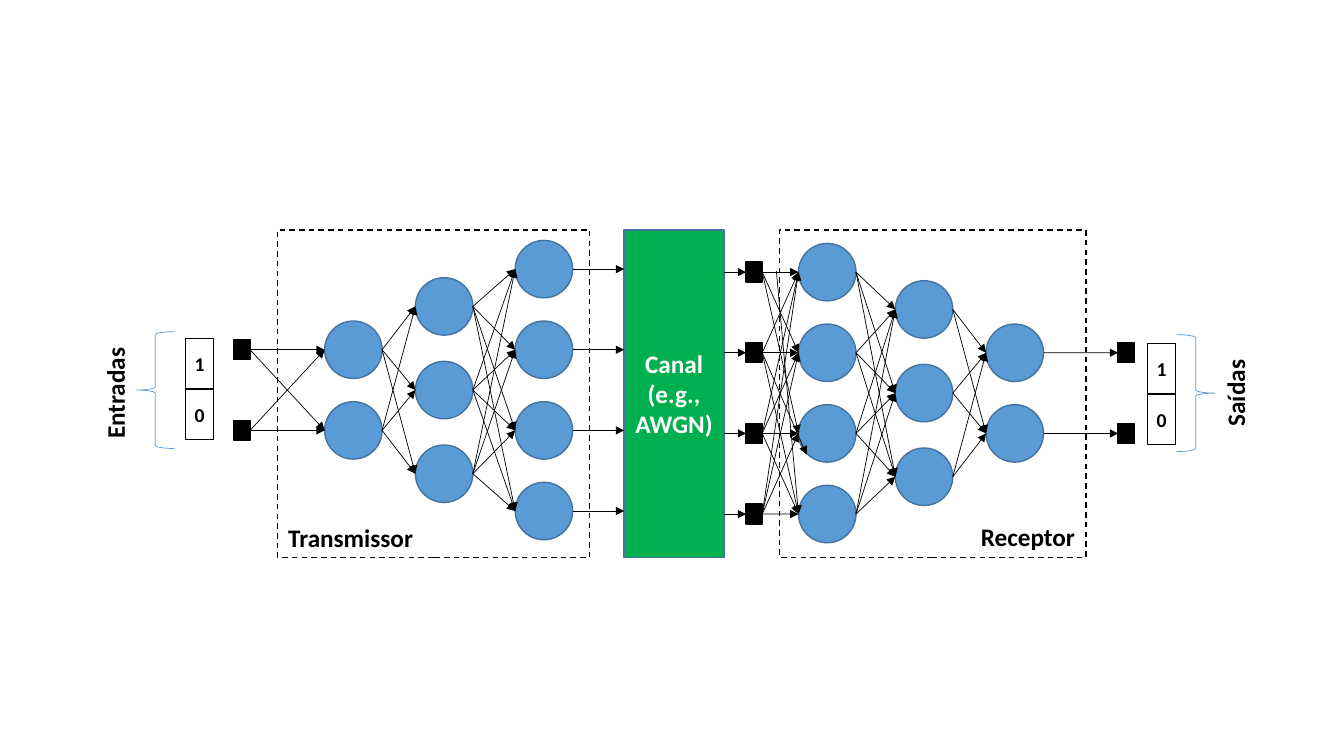
from lxml.etree import SubElement
from pptx import Presentation
from pptx.dml.color import RGBColor
from pptx.enum.dml import MSO_LINE
from pptx.enum.shapes import MSO_CONNECTOR, MSO_SHAPE as Preset
from pptx.enum.text import MSO_ANCHOR, PP_ALIGN as Align
from pptx.oxml.ns import qn
from pptx.util import Inches, Pt

COLOURS = {
    "black": "000000",
    "white": "FFFFFF",
    "neuron": "5B9BD5",
    "edge": "43739E",
    "channel": "00B050",
}
NEURON = (0.57, 0.57)
PORT = (0.16, 0.2)
TX_MIDDLE, RX_MIDDLE = 3.87, 3.9
CHANNEL_LEFT, CHANNEL_RIGHT = 6.19, 7.18
FRAME_TOP, FRAME_HEIGHT = 2.28, 3.25


def colour(name):
    return RGBColor.from_string(COLOURS[name])


def add_preset(page, preset, left, top, width, height, fill=None, line="black", weight=1):
    shape = page.shapes.add_shape(
        preset, Inches(left), Inches(top), Inches(width), Inches(height))
    shape.shadow.inherit = False
    if fill:
        shape.fill.solid()
        shape.fill.fore_color.rgb = colour(fill)
    else:
        shape.fill.background()
    shape.line.color.rgb = colour(line)
    shape.line.width = Pt(weight)
    return shape


def write(shape, text, size=18, ink="black", align=Align.CENTER):
    shape.text_frame.text = text
    for para in shape.text_frame.paragraphs:
        para.alignment = align
        for span in para.runs:
            span.font.name = "Calibri"
            span.font.size = Pt(size)
            span.font.bold = True
            span.font.color.rgb = colour(ink)


def add_label(page, text, left, top, width, align=Align.LEFT, rotation=0):
    box = page.shapes.add_textbox(Inches(left), Inches(top), Inches(width), Inches(0.4))
    box.rotation = rotation
    box.text_frame.word_wrap = rotation != 0
    write(box, text, align=align)


def add_column(page, left, middle, count, pitch=0.8, port=False):
    """Stack neurons or square ports, centred on the given height."""
    width, height = PORT if port else NEURON
    preset = Preset.RECTANGLE if port else Preset.OVAL
    fill, line = ("black", "black") if port else ("neuron", "edge")
    first = middle - (count - 1) * pitch / 2 - height / 2
    return [add_preset(page, preset, left, first + row * pitch, width, height, fill, line)
            for row in range(count)]


def add_bits(page, left, top):
    for row, bit in enumerate("10"):
        cell = add_preset(page, Preset.RECTANGLE, left, top + row * 0.5, 0.28, 0.5)
        frame = cell.text_frame
        frame.margin_left = frame.margin_right = 0
        frame.vertical_anchor = MSO_ANCHOR.MIDDLE
        write(cell, bit, size=14)


def add_frame(page, left, width):
    frame = add_preset(page, Preset.RECTANGLE, left, FRAME_TOP, width, FRAME_HEIGHT)
    frame.line.dash_style = MSO_LINE.DASH


def add_arrow(page, start, end):
    arrow = page.shapes.add_connector(MSO_CONNECTOR.STRAIGHT, *start, *end)
    arrow.line.color.rgb = colour("black")
    arrow.line.width = Pt(0.5)
    SubElement(arrow.line._get_or_add_ln(), qn("a:tailEnd"), type="triangle")
    SubElement(arrow._element.spPr, qn("a:effectLst"))
    return arrow


def centre_y(shape):
    return shape.top + shape.height // 2


def right_of(shape):
    return shape.left + shape.width, centre_y(shape)


def left_of(shape):
    return shape.left, centre_y(shape)


def is_port(shape):
    return shape.auto_shape_type == Preset.RECTANGLE


def link(page, source, target, start=None, end=None):
    arrow = add_arrow(page, start or right_of(source), end or left_of(target))
    if is_port(source) and not start:
        arrow.begin_connect(source, 3)
    if is_port(target) and not end:
        arrow.end_connect(target, 1)


def link_all(page, sources, targets, starts=None, ends=None):
    """Join every source to every target; starts and ends hold special points."""
    for i, source in enumerate(sources):
        for j, target in enumerate(targets):
            link(page, source, target, (starts or {}).get((i, j)), (ends or {}).get((i, j)))


def main():
    deck = Presentation()
    deck.slide_width, deck.slide_height = Inches(13.33), Inches(7.5)
    page = deck.slides.add_slide(deck.slide_layouts[6])

    # Frames and channel
    add_frame(page, 2.75, 3.1)
    add_frame(page, 7.73, 3.04)
    channel = add_preset(page, Preset.RECTANGLE, CHANNEL_LEFT, FRAME_TOP,
                         CHANNEL_RIGHT - CHANNEL_LEFT, FRAME_HEIGHT, "channel", "edge")
    channel.text_frame.word_wrap = True
    channel.text_frame.vertical_anchor = MSO_ANCHOR.MIDDLE
    write(channel, "Canal\n(e.g., AWGN)", ink="white")

    # Transmitter network
    inputs = add_column(page, 2.32, TX_MIDDLE, 2, port=True)
    tx_first = add_column(page, 3.22, TX_MIDDLE, 2)
    tx_hidden = add_column(page, 4.12, TX_MIDDLE, 3, pitch=0.83)
    tx_last = add_column(page, 5.11, TX_MIDDLE, 4)
    for sources, targets in ((inputs, tx_first), (tx_first, tx_hidden), (tx_hidden, tx_last)):
        link_all(page, sources, targets)

    # Receiver network
    rx_ports = add_column(page, 7.4, RX_MIDDLE, 4, port=True)
    rx_first = add_column(page, 7.92, RX_MIDDLE, 4)
    rx_hidden = add_column(page, 8.88, RX_MIDDLE, 3, pitch=0.83)
    rx_last = add_column(page, 9.78, RX_MIDDLE, 2)
    outputs = add_column(page, 11.09, RX_MIDDLE, 2, port=True)
    link_all(page, rx_ports, rx_first,
             starts={(0, 3): (Inches(7.7), Inches(2.69))},
             ends={(1, 2): (Inches(8), Inches(4.51))})
    link_all(page, rx_first, rx_hidden)
    link_all(page, rx_hidden, rx_last)
    for neuron, port in zip(rx_last, outputs):
        link(page, neuron, port)

    # Into and out of the channel
    for neuron, port in zip(tx_last, rx_ports):
        add_arrow(page, right_of(neuron), (Inches(CHANNEL_LEFT), centre_y(neuron)))
        link(page, channel, port, start=(Inches(CHANNEL_RIGHT), centre_y(port)))

    # Bits, braces and labels
    add_bits(page, 1.84, 3.36)
    add_bits(page, 11.38, 3.41)
    add_preset(page, Preset.LEFT_BRACE, 1.35, 3.29, 0.38, 1.16, line="neuron", weight=0.5)
    closing = add_preset(page, Preset.LEFT_BRACE, 11.67, 3.32, 0.38, 1.16,
                         line="neuron", weight=0.5)
    closing.rotation = 180
    add_label(page, "Entradas", 0.42, 3.7, 1.44, Align.CENTER, 270)
    add_label(page, "Saídas", 11.53, 3.7, 1.44, Align.CENTER, 270)
    add_label(page, "Transmissor", 2.76, 5.13, 1.45)
    add_label(page, "Receptor", 9.63, 5.12, 1.14)

    deck.save("out.pptx")


if __name__ == "__main__":
    main()
